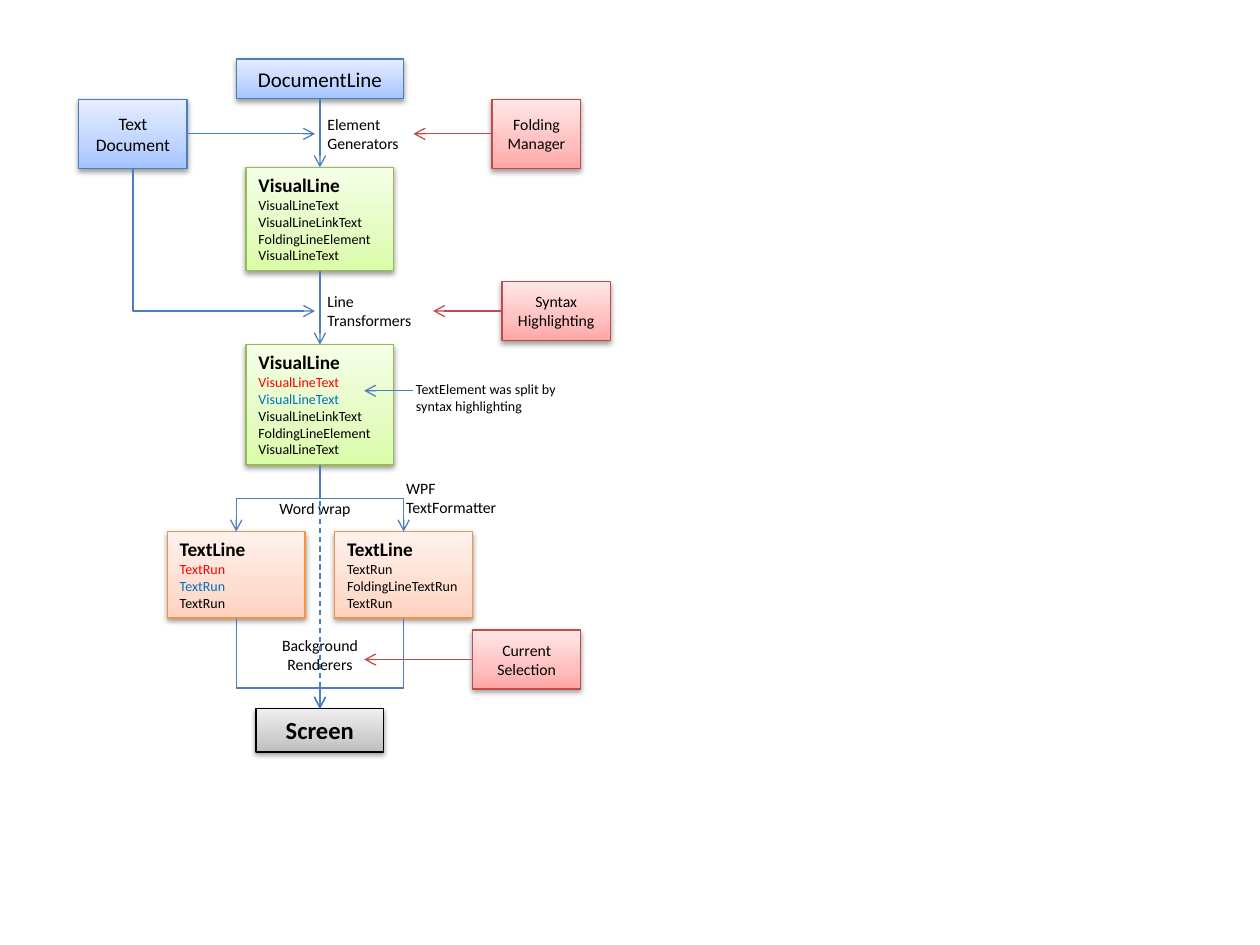
import copy
import pptx
import pptx.util
import pptx.dml.color
import pptx.enum.dml
import pptx.enum.shapes
import pptx.enum.text
import pptx.oxml
import pptx.oxml.ns

UNIT = 10 / 128  # the slide is a grid of 128 by 96 squares
BLUE, RED = "4B7EBC", "BF4C48"
BLACK, HOT, COOL = "000000", "FF0000", "0070C0"
TOP, LEFT, LOW, RIGHT = range(4)

# Looks: line, then gradient from bottom to top
LOOKS = {
    "blue": (BLUE, "A4C4FF", "BFD4FF", "E6EEFF"),
    "green": ("98B955", "DAFDA7", "E4FCC2", "F5FFE7"),
    "red": (RED, "FFA6A5", "FFC0BF", "FFE7E7"),
    "orange": ("F69240", "FFD2BD", "FFDED0", "FFF2ED"),
    "gray": (BLACK, "BDBDBD", "D1D1D1", "EEEEEE"),
}

# Centred boxes: name, look, (column, row, columns, rows), text, size
PLAIN = [
    ("doc", "blue", (24, 6, 17, 4), "DocumentLine", 12),
    ("text", "blue", (8, 10.1, 11, 7), "Text Document", 10),
    ("fold", "red", (50, 10.1, 9, 7), "Folding Manager", 9),
    ("syntax", "red", (51, 28.6, 11, 6), "Syntax Highlighting", 9),
    ("select", "red", (48, 64, 11, 6), "Current Selection", 9),
]

# Boxes with a title and a list of (text, colour)
LISTS = [
    ("first", "green", (25, 17, 15, 10.5), "VisualLine",
     [("VisualLineText", BLACK), ("VisualLineLinkText", BLACK),
      ("FoldingLineElement", BLACK), ("VisualLineText", BLACK)]),
    ("second", "green", (25, 35, 15, 12.25), "VisualLine",
     [("VisualLineText", HOT), ("VisualLineText", COOL),
      ("VisualLineLinkText", BLACK), ("FoldingLineElement", BLACK),
      ("VisualLineText", BLACK)]),
    ("left", "orange", (17, 54, 14, 8.8), "TextLine",
     [("TextRun", HOT), ("TextRun", COOL), ("TextRun", BLACK)]),
    ("right", "orange", (34, 54, 14, 8.8), "TextLine",
     [("TextRun", BLACK), ("FoldingLineTextRun", BLACK), ("TextRun", BLACK)]),
]

# Labels: place, paragraphs, size, centred
LABELS = [
    ((32, 11, 10, 5.17), ["Element", "Generators"], 9, False),
    ((32, 29, 12, 5.17), ["Line Transformers"], 9, False),
    ((41, 38, 17, 4.75), ["TextElement was split by syntax highlighting"], 8, False),
    ((40, 48, 12, 5.17), ["WPF TextFormatter"], 9, False),
    ((27, 50, 10, 3.2), ["Word wrap"], 9, True),
    ((27, 64, 11, 5.17), ["Background", "Renderers"], 9, True),
]

# Straight arrows: start, end, colour, dashed; an end is (box, side) or (column, row)
ARROWS = [
    (("doc", LOW), ("first", TOP), BLUE, False),
    (("text", RIGHT), (32, 13.6), BLUE, False),
    (("fold", LEFT), (42, 13.6), RED, False),
    (("first", LOW), ("second", TOP), BLUE, False),
    (("syntax", LEFT), (44, 31.6), RED, False),
    ((42, 39.7), (37, 39.7), BLUE, False),
    (("second", LOW), ("screen", TOP), BLUE, True),
    (("select", LEFT), (37, 67), RED, False),
]

# Bent arrows that leave downwards: start, end, share of the drop before the
# turn (None for a single corner)
BENDS = [
    ((13.5, 17.1), (32, 31.6), None),
    ((32.5, 47.25), (24, 54), 0.5),
    ((32.5, 47.25), (41, 54), 0.5),
    ((24, 62.8), (32.5, 72), 0.77),
    ((41, 62.8), (32.5, 72), 0.77),
]

deck = pptx.Presentation()
deck.slide_width = pptx.util.Inches(10)
deck.slide_height = pptx.util.Inches(7.5)
page = deck.slides.add_slide(deck.slide_layouts[6])
boxes = {}


def grid(*cells):
    return [pptx.util.Inches(cell * UNIT) for cell in cells]


def tint(code):
    return pptx.dml.color.RGBColor.from_string(code)


def node(tag, **attrs):
    item = pptx.oxml.parse_xml(f"<a:{tag} {pptx.oxml.ns.nsdecls('a')}/>")
    for key, value in attrs.items():
        item.set(key, str(value))
    return item


def part(shape, tag):
    return shape._element.spPr.find(pptx.oxml.ns.qn(tag))


def write(shape, rows, center, middle=False):
    """Fill a shape with rows of (text, size, colour, bold)."""
    frame = shape.text_frame
    frame.word_wrap = True
    anchor, fit = pptx.enum.text.MSO_ANCHOR, pptx.enum.text.MSO_AUTO_SIZE
    frame.vertical_anchor = anchor.MIDDLE if middle else anchor.TOP
    frame.auto_size = fit.NONE if middle else fit.SHAPE_TO_FIT_TEXT
    align = pptx.enum.text.PP_ALIGN
    for i, (text, size, color, bold) in enumerate(rows):
        para = frame.add_paragraph() if i else frame.paragraphs[0]
        para.alignment = align.CENTER if center else align.LEFT
        run = para.add_run()
        run.text = text
        run.font.name = "Calibri"
        run.font.size = pptx.util.Pt(size)
        run.font.bold = bold
        run.font.color.rgb = tint(color)


def add_box(name, look, place, rows, center=True, middle=False):
    box = page.shapes.add_shape(pptx.enum.shapes.MSO_SHAPE.RECTANGLE, *grid(*place))
    edge, *shades = LOOKS[look]
    box.line.color.rgb = tint(edge)
    box.line.width = pptx.util.Pt(0.75)
    # Three-stop gradient
    box.fill.gradient()
    box.fill.gradient_angle = 90
    stops = part(box, "a:gradFill")[0]
    stops.append(copy.deepcopy(stops[0]))
    for stop, shade, spot in zip(box.fill.gradient_stops, shades, (0, 0.35, 1)):
        stop.color.rgb = tint(shade)
        stop.position = spot
    # Soft shadow below
    box.shadow.inherit = False
    cast = node("outerShdw", blurRad=40000, dist=20000, dir=5400000, rotWithShape=0)
    dark = node("srgbClr", val=BLACK)
    dark.append(node("alpha", val=38000))
    cast.append(dark)
    part(box, "a:effectLst").append(cast)
    write(box, rows, center, middle)
    boxes[name] = box


def add_line(kind, ends, color, dashed=False):
    line = page.shapes.add_connector(kind, *ends)
    line.line.color.rgb = tint(color)
    line.line.width = pptx.util.Pt(0.75)
    if dashed:
        line.line.dash_style = pptx.enum.dml.MSO_LINE.DASH
    part(line, "a:ln").append(node("tailEnd", type="arrow"))
    line._element.spPr.append(node("effectLst"))
    return line


def add_arrow(start, end, color, dashed):
    ends = []
    for spot in (start, end):
        ends += (0, 0) if spot[0] in boxes else grid(*spot)
    line = add_line(pptx.enum.shapes.MSO_CONNECTOR.STRAIGHT, ends, color, dashed)
    for spot, join in ((start, line.begin_connect), (end, line.end_connect)):
        if spot[0] in boxes:
            join(boxes[spot[0]], spot[1])


def add_bend(start, end, share):
    (x1, y1), (x2, y2) = start, end
    # A quarter turn swaps width and height about the same centre
    wide, high = (y2 - y1) / 2, abs(x2 - x1) / 2
    x, y = (x1 + x2) / 2, (y1 + y2) / 2
    ends = grid(x - wide, y - high, x + wide, y + high)
    line = add_line(pptx.enum.shapes.MSO_CONNECTOR.ELBOW, ends, BLUE)
    frame, shape = part(line, "a:xfrm"), part(line, "a:prstGeom")
    frame.set("rot", "16200000" if x2 > x1 else "5400000")
    if x2 > x1:
        frame.set("flipH", "1")
    if share is None:
        shape.set("prst", "bentConnector2")
    else:
        guide = node("gd", name="adj1", fmla=f"val {round(share * 100000)}")
        shape.find(pptx.oxml.ns.qn("a:avLst")).append(guide)


# Boxes
for name, look, place, text, size in PLAIN:
    add_box(name, look, place, [(text, size, BLACK, False)], middle=True)
for name, look, place, title, items in LISTS:
    rows = [(title, 11, BLACK, True)] + [(text, 8, color, False) for text, color in items]
    add_box(name, look, place, rows, center=False)
add_box("screen", "gray", (26, 72, 13, 4.4), [("Screen", 14, BLACK, True)])

# Labels
for place, texts, size, center in LABELS:
    label = page.shapes.add_textbox(*grid(*place))
    write(label, [(text, size, BLACK, False) for text in texts], center)

# Arrows
for arrow in ARROWS:
    add_arrow(*arrow)
for bend in BENDS:
    add_bend(*bend)

deck.save("out.pptx")
